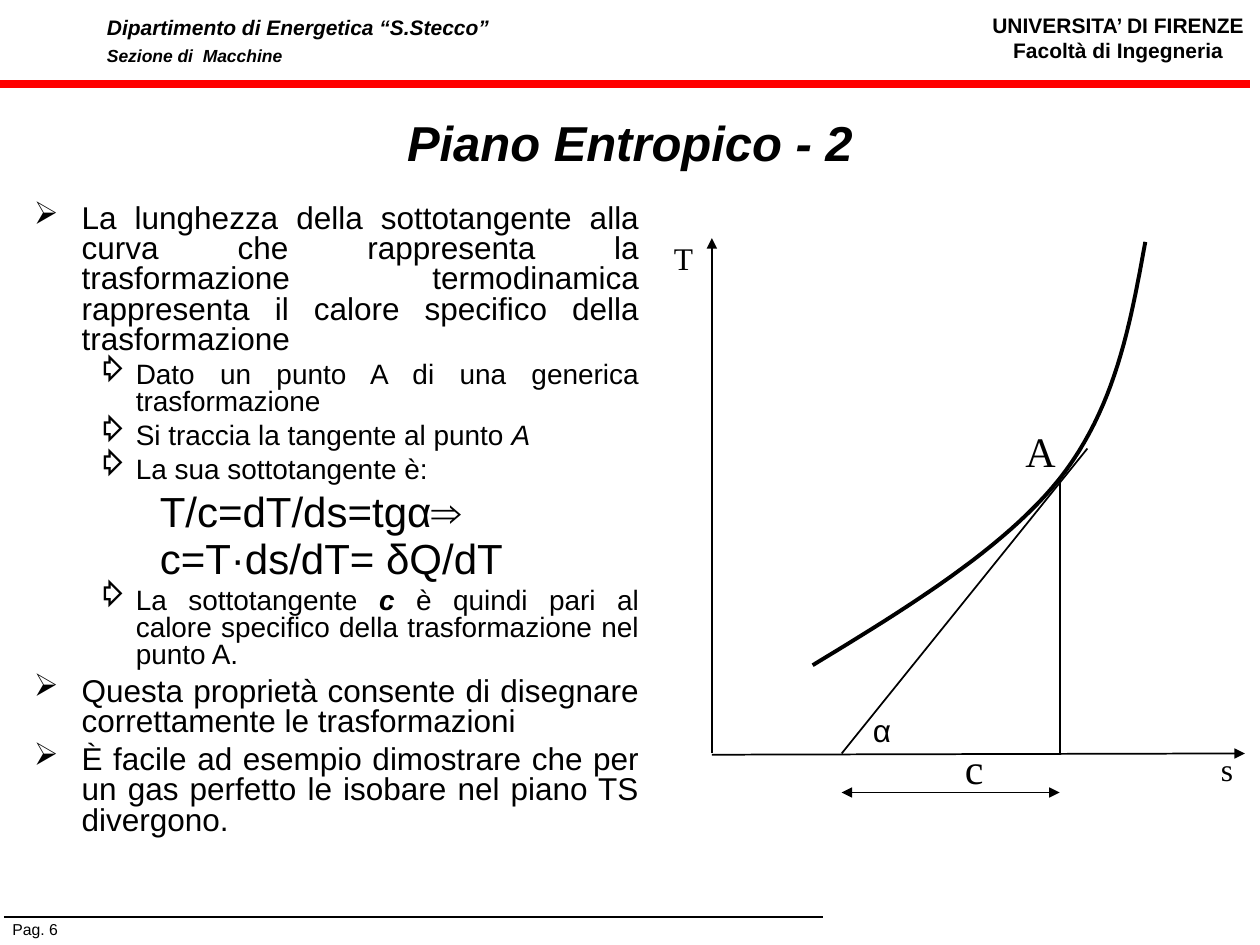
from dataclasses import dataclass

from lxml import etree
from pptx import Presentation
from pptx.dml.color import RGBColor
from pptx.enum import shapes, text
from pptx.oxml import ns
from pptx.util import Inches, Pt


@dataclass(frozen=True)
class Theme:
    """Colours, fonts and type sizes of the slide."""
    ink: RGBColor = RGBColor(0, 0, 0)
    rule: RGBColor = RGBColor(255, 0, 0)
    sans: str = "Arial"
    serif: str = "Times New Roman"
    title: int = 28
    formula: int = 24
    body: int = 18
    detail: int = 16
    header: int = 12
    section: int = 10
    footer: int = 9


THEME = Theme()
LEFT, CENTER, JUSTIFY = text.PP_ALIGN.LEFT, text.PP_ALIGN.CENTER, text.PP_ALIGN.JUSTIFY
LEVELS = {
    "point": (0, 0.38, 0.38, "➢", THEME.body, 4.5),
    "detail": (1, 0.81, 0.31, "⇨", THEME.detail, 4),
    "formula": (2, 1.25, 0.25, None, THEME.formula, 6),
    "result": (2, 1.25, 0.25, None, THEME.formula, 3.5),
}
BODY = [
    ("point", [("La lunghezza della sottotangente alla curva che rappresenta la "
                "trasformazione termodinamica rappresenta il calore specifico "
                "della trasformazione", "")]),
    ("detail", [("Dato un punto A di una generica trasformazione", "")]),
    ("detail", [("Si traccia la tangente al punto ", ""), ("A", "i")]),
    ("detail", [("La sua sottotangente è:", "")]),
    ("formula", [("T/c=dT/ds=tgα⇒", "")]),
    ("result", [("c=T·ds/dT= δQ/dT", "")]),
    ("detail", [("La sottotangente ", ""), ("c", "bi"),
                (" è quindi pari al calore specifico della trasformazione nel punto A.", "")]),
    ("point", [("Questa proprietà consente di disegnare correttamente le trasformazioni", "")]),
    ("point", [("È facile ad esempio dimostrare che per un gas perfetto le isobare "
                "nel piano TS divergono.", "")]),
]
AXIS_X, AXIS_Y = 5.65, 5.98
FOOT_X, POINT_X, POINT_Y, MEASURE_Y = 6.68, 8.41, 3.8, 6.29
CURVE = [
    [(6.45, 5.28), (7.21, 4.82), (7.97, 4.35), (POINT_X, POINT_Y)],
    [(POINT_X, POINT_Y), (8.85, 3.24), (8.97, 2.58), (9.09, 1.92)],
]


def set_font(font, size, name=THEME.sans, bold=None, italic=None):
    """Apply one type style."""
    font.size, font.name = Pt(size), name
    font.bold, font.italic = bold, italic
    font.color.rgb = THEME.ink


def add_frame(slide, left, top, width, height, wrap=True):
    """Add a text box and return its text frame."""
    box = slide.shapes.add_textbox(*map(Inches, (left, top, width, height)))
    box.text_frame.word_wrap = wrap
    return box.text_frame


def add_lines(frame, lines, align=LEFT, spacing=None, **style):
    """Fill a frame with (text, size) lines in one style."""
    for index, (words, size) in enumerate(lines):
        paragraph = frame.add_paragraph() if index else frame.paragraphs[0]
        paragraph.text, paragraph.alignment = words, align
        if spacing:
            paragraph.line_spacing = Pt(spacing)
        set_font(paragraph.font, size, **style)


def set_bullet(paragraph, margin, hanging, character):
    """Give a paragraph its hanging indent and bullet."""
    properties = paragraph._p.get_or_add_pPr()
    properties.set("marL", str(Inches(margin)))
    properties.set("indent", str(-Inches(hanging)))
    if character:
        color = etree.SubElement(properties, ns.qn("a:buClr"))
        etree.SubElement(color, ns.qn("a:srgbClr"), val=str(THEME.ink))
        etree.SubElement(properties, ns.qn("a:buChar"), char=character)
    else:
        etree.SubElement(properties, ns.qn("a:buNone"))


def add_body(slide):
    """Add the justified multilevel list."""
    frame = add_frame(slide, 0.17, 1.58, 5, 5.67)
    for index, (kind, runs) in enumerate(BODY):
        level, margin, hanging, character, size, before = LEVELS[kind]
        paragraph = frame.add_paragraph() if index else frame.paragraphs[0]
        paragraph.level, paragraph.alignment = level, JUSTIFY
        paragraph.line_spacing = 0.8
        if index:
            paragraph.space_before = Pt(before)
        set_bullet(paragraph, margin, hanging, character)
        set_font(paragraph.font, size)
        for words, marks in runs:
            run = paragraph.add_run()
            run.text = words
            if marks:
                run.font.bold, run.font.italic = "b" in marks, "i" in marks


def add_line(slide, start, end, color=THEME.ink, width=1, arrows=()):
    """Add a straight line with optional arrowheads."""
    line = slide.shapes.add_connector(
        shapes.MSO_CONNECTOR.STRAIGHT, *map(Inches, (*start, *end)))
    line.line.color.rgb, line.line.width = color, Pt(width)
    for arrow in arrows:
        etree.SubElement(line.line._get_or_add_ln(), ns.qn(f"a:{arrow}"), type="triangle")
    etree.SubElement(line._element.spPr, ns.qn("a:effectLst"))


def bezier(points, t):
    """Return the point of a cubic Bezier segment at t."""
    weights = ((1 - t) ** 3, 3 * t * (1 - t) ** 2, 3 * t ** 2 * (1 - t), t ** 3)
    return tuple(Inches(sum(w * p[axis] for w, p in zip(weights, points))) for axis in (0, 1))


def add_curve(slide, segments, width, steps=24):
    """Add an open smooth curve through Bezier segments."""
    points = [bezier(segment, step / steps)
              for segment in segments for step in range(steps + 1)]
    builder = slide.shapes.build_freeform(*points[0])
    builder.add_line_segments(points[1:], close=False)
    curve = builder.convert_to_shape()
    curve.fill.background()
    curve.line.color.rgb, curve.line.width = THEME.ink, Pt(width)
    curve.shadow.inherit = False


def add_header_and_footer(slide):
    """Add the institution names, rules and page number."""
    add_lines(add_frame(slide, 7.76, 0.05, 2.23, 0.5, wrap=False),
              [("UNIVERSITA’ DI FIRENZE", THEME.header),
               ("Facoltà di Ingegneria", THEME.header)], CENTER, bold=True)
    add_lines(add_frame(slide, 0.75, 0.06, 3.38, 0.51),
              [("Dipartimento di Energetica “S.Stecco”", THEME.header),
               ("Sezione di  Macchine", THEME.section)],
              spacing=15, bold=True, italic=True)
    add_line(slide, (0, 0.67), (9.92, 0.67), THEME.rule, 4.5)
    add_line(slide, (0.03, 7.28), (6.53, 7.28))
    add_lines(add_frame(slide, 0, 7.25, 1.08, 0.25), [("Pag. 6", THEME.footer)])


def add_diagram(slide):
    """Add the T-s diagram with its tangent and subtangent."""
    add_line(slide, (AXIS_X, 5.99), (9.88, AXIS_Y), arrows=("tailEnd",))
    add_line(slide, (AXIS_X, AXIS_Y), (AXIS_X, 1.89), arrows=("tailEnd",))
    add_curve(slide, CURVE, 2.25)
    add_line(slide, (8.63, 3.56), (FOOT_X, AXIS_Y))
    add_line(slide, (POINT_X, POINT_Y), (POINT_X, AXIS_Y))
    add_line(slide, (FOOT_X, MEASURE_Y), (POINT_X, MEASURE_Y), arrows=("headEnd", "tailEnd"))
    for words, left, top, width, height, size, name in (
            ("T", 5.25, 1.85, 0.35, 0.4, THEME.body, THEME.serif),
            ("s", 9.59, 5.9, 0.29, 0.4, THEME.body, THEME.serif),
            ("c", 7.56, 5.84, 0.35, 0.5, THEME.formula, THEME.serif),
            ("α", 6.83, 5.59, 0.36, 0.4, THEME.body, THEME.sans),
            ("A", 8.04, 3.33, 0.44, 0.5, THEME.formula, THEME.serif)):
        add_lines(add_frame(slide, left, top, width, height, wrap=False),
                  [(words, size)], name=name)


def main():
    """Build and save the slide."""
    presentation = Presentation()
    presentation.slide_width, presentation.slide_height = Inches(10), Inches(7.5)
    slide = presentation.slides.add_slide(presentation.slide_layouts[6])
    add_header_and_footer(slide)
    title = add_frame(slide, 0.75, 0.75, 8.5, 0.75)
    title.vertical_anchor = text.MSO_ANCHOR.MIDDLE
    add_lines(title, [("Piano Entropico - 2", THEME.title)], CENTER, bold=True, italic=True)
    add_body(slide)
    add_diagram(slide)
    presentation.save("out.pptx")


if __name__ == "__main__":
    main()
